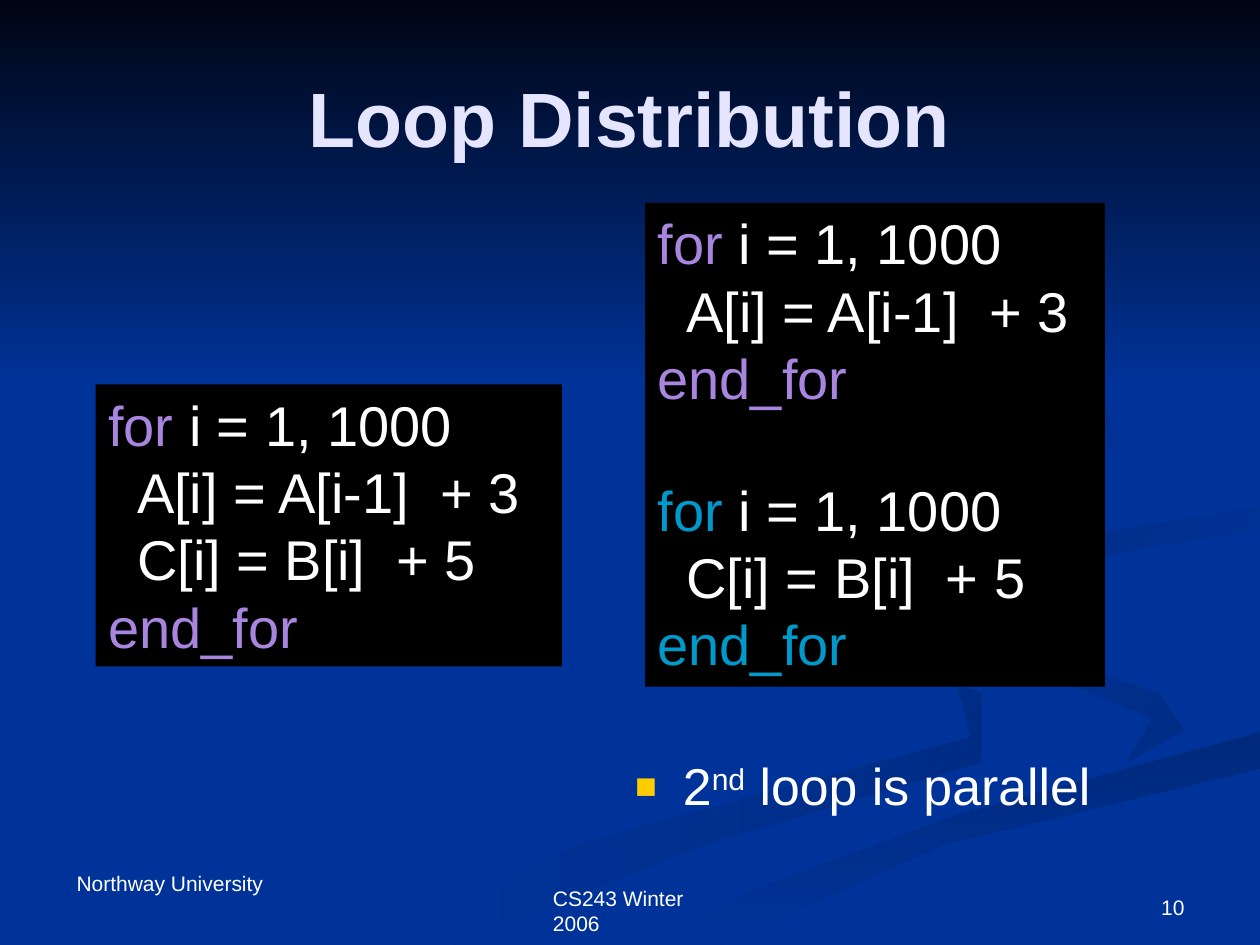
from lxml.etree import SubElement
from pptx import Presentation
from pptx.dml.color import RGBColor
from pptx.enum.shapes import MSO_SHAPE
from pptx.enum.text import MSO_ANCHOR, MSO_AUTO_SIZE, PP_ALIGN
from pptx.oxml.ns import qn
from pptx.util import Inches, Pt

BLUE = RGBColor(0x00, 0x33, 0x99)
DEEP_BLUE = RGBColor(0x00, 0x2C, 0x85)
DARK_BLUE = RGBColor(0x00, 0x29, 0x7C)
NIGHT = RGBColor(0x00, 0x05, 0x14)
BLACK = RGBColor(0x00, 0x00, 0x00)
WHITE = RGBColor(0xFF, 0xFF, 0xFF)
LAVENDER = RGBColor(0xE5, 0xE5, 0xFF)
PURPLE = RGBColor(0xA8, 0x86, 0xE0)
CYAN = RGBColor(0x00, 0x99, 0xCC)
GOLD = "FFCC00"

# Ribbons: first colour, last colour, clockwise angle, anchors in inches
RIBBONS = [
    (DEEP_BLUE, BLUE, 180, [(5.75, 4.6), (6.5, 5.1), (7.8, 5.5), (7.8, 6.05),
                            (5.6, 6.7), (3.6, 7.5), (3, 7.5), (4.6, 6.7),
                            (7.7, 5.85), (7.6, 5.45), (5.8, 4.8)]),
    (DEEP_BLUE, BLUE, 225, [(7.24, 4.64), (7.9, 5.1), (9.2, 5.5), (9.4, 5.8),
                            (8.94, 6.05), (9.15, 5.7), (7.7, 5.1)]),
    (DARK_BLUE, BLUE, 90, [(5.03, 7.5), (5.7, 7.5), (7.5, 6.7), (10, 6.1),
                           (10, 5.81), (7.6, 6.47), (6, 7.06)]),
    (BLUE, DEEP_BLUE, 225, [(7.81, 4.6), (8.26, 4.96), (8.05, 4.7),
                            (8.8, 4.4), (10, 4.2), (10, 4.02), (8.5, 4.27)]),
    (BLUE, DEEP_BLUE, 225, [(7.62, 2.33), (8.6, 2.9), (8.9, 3.5), (8.2, 4.03),
                            (6.2, 4.45), (6.22, 5), (5.8, 4.6), (6.5, 4.2),
                            (8.5, 3.75), (8.6, 2.9)]),
]

KEYWORD_SIZE = 32
STEP_A = "A[i] = A[i-1]  + 3"
STEP_C = "C[i] = B[i]  + 5"


def set_format(target, **values):
    for name, value in values.items():
        setattr(target, name, value)


def paint_gradient(shape, first, last, angle):
    """Fill a shape with two colours along a clockwise angle."""
    shape.fill.gradient()
    shape.fill.gradient_angle = (360 - angle) % 360
    for stop, color, position in zip(shape.fill.gradient_stops, (first, last), (0, 1)):
        stop.color.rgb = color
        stop.position = position
    shape.line.fill.background()
    shape.shadow.inherit = False


def add_span(para, text, size, color, bold=False):
    span = para.add_run()
    span.text = text
    set_format(span.font, name="Arial", size=Pt(size), bold=bold)
    span.font.color.rgb = color
    return span


def place(shape, box):
    for name, value in zip(("left", "top", "width", "height"), box):
        setattr(shape, name, Inches(value))


def prepare_frame(shape, anchor=MSO_ANCHOR.TOP):
    set_format(shape.text_frame, word_wrap=True, vertical_anchor=anchor,
               auto_size=MSO_AUTO_SIZE.NONE)
    return shape.text_frame


def draw_backdrop(page, box):
    page.background.fill.solid()
    page.background.fill.fore_color.rgb = BLUE
    for first, last, angle, anchors in RIBBONS:
        outline = [(Inches(x), Inches(y)) for x, y in anchors]
        builder = page.shapes.build_freeform(*outline[0])
        builder.add_line_segments(outline[1:], close=True)
        paint_gradient(builder.convert_to_shape(), first, last, angle)
    # Night sky fading into the blue
    sky = page.shapes.add_shape(MSO_SHAPE.RECTANGLE, *map(Inches, box))
    paint_gradient(sky, NIGHT, BLUE, 90)


def fill_title(page, box):
    title = page.shapes.title
    page.shapes.element.append(title.element)  # in front of the backdrop
    place(title, box)
    para = prepare_frame(title, MSO_ANCHOR.MIDDLE).paragraphs[0]
    para.alignment = PP_ALIGN.CENTER
    add_span(para, "Loop Distribution", 44, LAVENDER, bold=True)


def add_code(page, box, loops):
    """Black panel with one or more loops, each a colour and its steps."""
    panel = page.shapes.add_shape(MSO_SHAPE.RECTANGLE, *map(Inches, box))
    panel.fill.solid()
    panel.fill.fore_color.rgb = BLACK
    panel.line.fill.background()
    panel.shadow.inherit = False
    frame = prepare_frame(panel)
    para = frame.paragraphs[0]
    for number, (color, steps) in enumerate(loops):
        if number:
            para = frame.add_paragraph()
            para.space_before = Pt(36.8)  # one line between loops
        add_span(para, "for", KEYWORD_SIZE, color)
        add_span(para, " i = 1, 1000", KEYWORD_SIZE, WHITE)
        for step in steps:
            para = frame.add_paragraph()
            para._p.get_or_add_pPr().set("marL", str(Inches(0.23)))
            add_span(para, step, KEYWORD_SIZE, WHITE)
        para = frame.add_paragraph()
        add_span(para, "end_for", KEYWORD_SIZE, color)
    for para in frame.paragraphs:
        para.alignment = PP_ALIGN.LEFT


def fill_remark(page, box):
    body = page.placeholders[1]
    page.shapes.element.append(body.element)
    place(body, box)
    para = prepare_frame(body).paragraphs[0]
    set_format(para, line_spacing=0.9, space_before=Pt(8))
    # Small gold square as the bullet
    props = para._p.get_or_add_pPr()
    props.set("marL", str(Inches(0.38)))
    props.set("indent", str(Inches(-0.38)))
    SubElement(SubElement(props, qn("a:buClr")), qn("a:srgbClr"), val=GOLD)
    SubElement(props, qn("a:buSzPct"), val="70000")
    SubElement(props, qn("a:buFont"), typeface="Arial")
    SubElement(props, qn("a:buChar"), char="■")
    add_span(para, "2", 29.6, WHITE)
    ordinal = add_span(para, "nd", 29.6, WHITE)
    ordinal.font._element.set("baseline", "30000")
    add_span(para, " loop is parallel", 29.6, WHITE)


def add_footer(page, box, text, alignment=PP_ALIGN.LEFT, anchor=MSO_ANCHOR.TOP):
    note = page.shapes.add_textbox(*map(Inches, box))
    para = prepare_frame(note, anchor).paragraphs[0]
    para.alignment = alignment
    add_span(para, text, 12, WHITE)


def main():
    deck = Presentation()
    set_format(deck, slide_width=Inches(10), slide_height=Inches(7.5))
    page = deck.slides.add_slide(deck.slide_layouts[1])
    draw_backdrop(page, (0, 0, 10, 3.08))
    add_footer(page, (4.29, 6.98, 1.65, 0.3), "CS243 Winter 2006")
    add_footer(page, (0.51, 6.86, 1.88, 0.3), "Northway University")
    fill_title(page, (0.5, 0.3, 9, 1.25))
    add_code(page, (5.12, 1.61, 3.65, 3.84), [(PURPLE, [STEP_A]), (CYAN, [STEP_C])])
    add_code(page, (0.76, 3.05, 3.7, 2.24), [(PURPLE, [STEP_A, STEP_C])])
    fill_remark(page, (4.94, 5.99, 4.19, 0.63))
    add_footer(page, (7.17, 6.83, 2.33, 0.52), "10", PP_ALIGN.RIGHT, MSO_ANCHOR.BOTTOM)
    deck.save("out.pptx")


if __name__ == "__main__":
    main()
